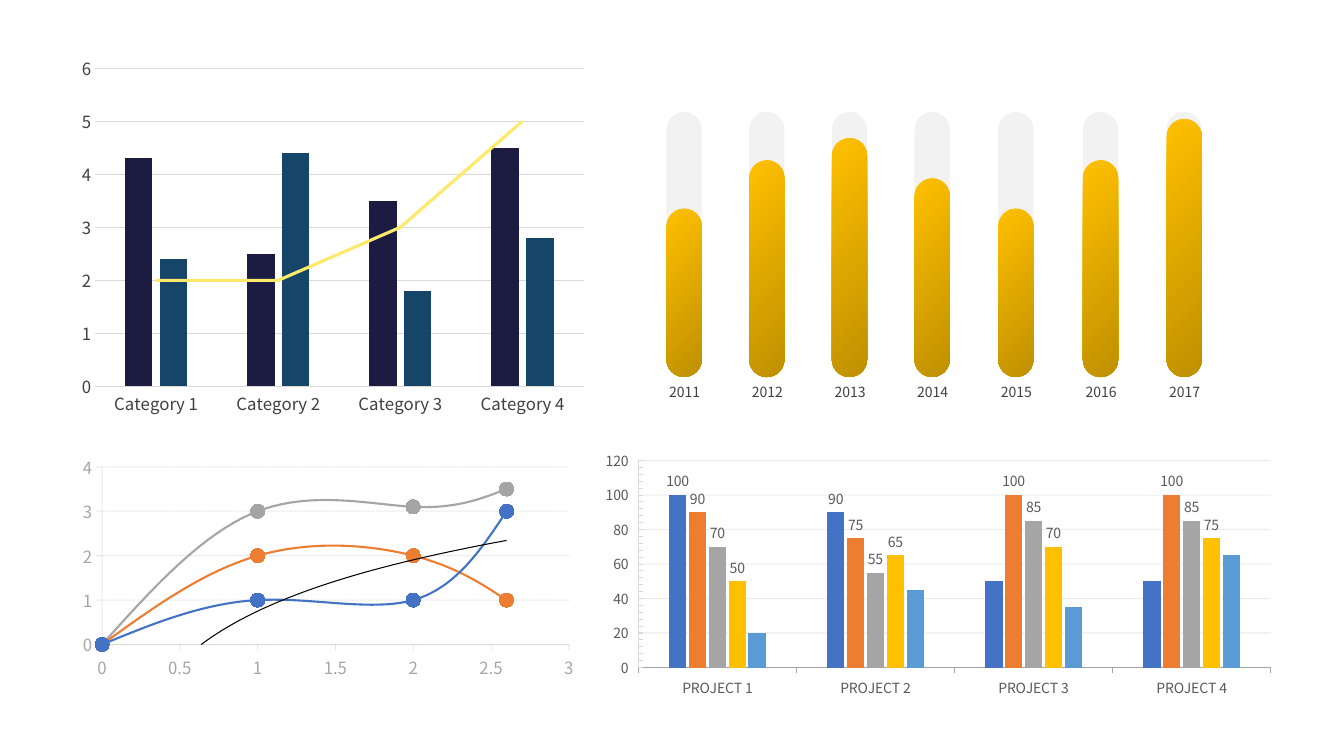
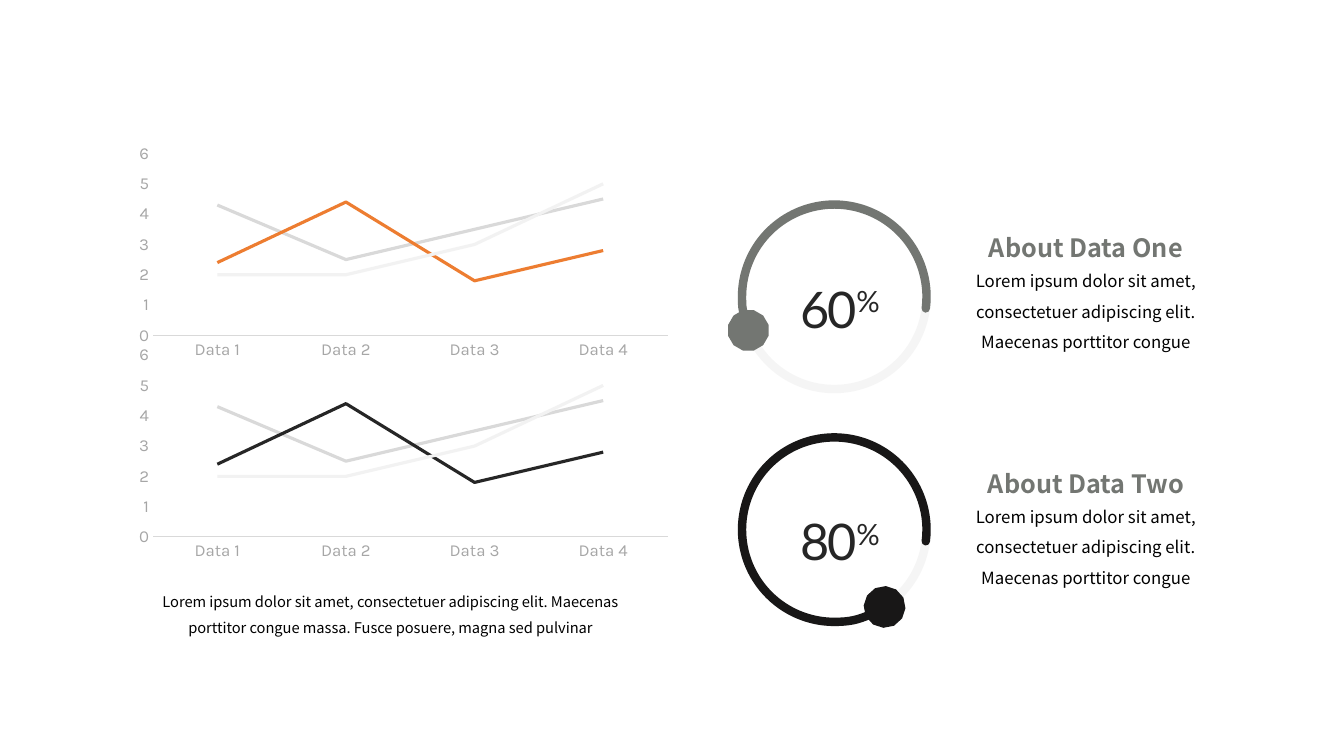
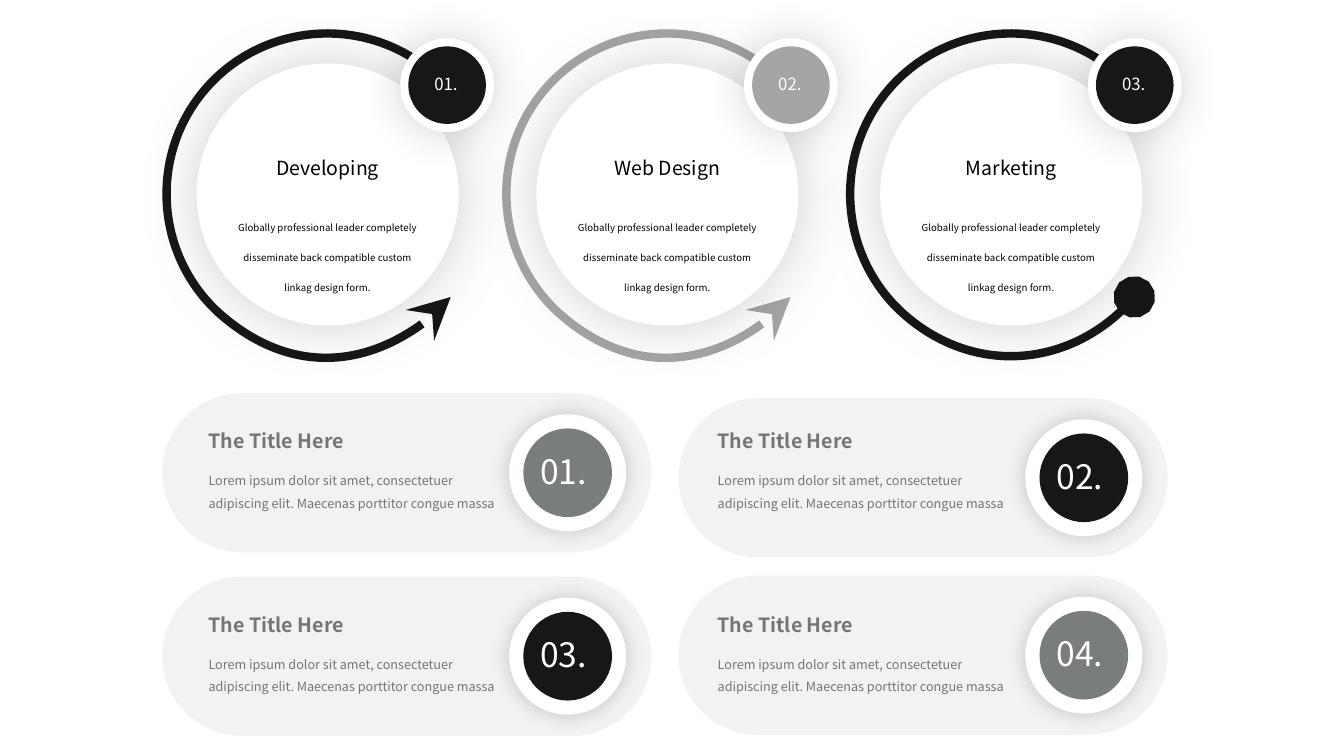
"""Build three infographic slides: charts, progress dials and numbered panels."""
from lxml import etree
from pptx import Presentation
from pptx import util as u
from pptx.chart import data
from pptx.dml import color as colors
from pptx.enum import chart as charts, dml, shapes, text
from pptx.oxml import parse_xml
from pptx.oxml.ns import nsdecls, qn

BODY = "Noto Sans CJK KR"
INK, GREY, SLATE, SILVER = "181717", "A5A5A5", "737672", "A6A6A6"
MIST, RULE, WHITE, BLACK = "F2F2F2", "D9D9D9", "FFFFFF", "000000"
CENTER = text.PP_ALIGN.CENTER
TICK = charts.XL_TICK_MARK
KIND = charts.XL_CHART_TYPE
SHAPE = shapes.MSO_SHAPE
LARGE = {"w": "lg", "len": "lg"}
LOREM = "Lorem ipsum dolor sit amet, consectetuer adipiscing elit. Maecenas porttitor congue"


def paint(fill, value, alpha=100):
    """Make a fill solid, with an opacity in percent."""
    fill.solid()
    fill.fore_color.rgb = colors.RGBColor.from_string(value)
    if alpha < 100:
        node = fill._xPr.find(qn("a:solidFill") + "/" + qn("a:srgbClr"))
        etree.SubElement(node, qn("a:alpha"), val=str(alpha * 1000))


def write(page, at, paras, size, value, font=BODY, frame_format=None, **para_format):
    """Add a text box; each paragraph is a list of (words, size, run marks)."""
    box = page.shapes.add_textbox(*map(u.Inches, at))
    frame = box.text_frame
    for key, setting in {"word_wrap": True, **(frame_format or {})}.items():
        setattr(frame, key, setting)
    for index, spans in enumerate(paras):
        para = frame.paragraphs[0] if index == 0 else frame.add_paragraph()
        for key, setting in para_format.items():
            setattr(para, key, setting)
        for words, span_size, marks in spans:
            span = para.add_run()
            span.text = words
            span.font.name = font
            span.font.size = u.Pt(span_size or size)
            paint(span.font.fill, value)
            for key, setting in marks.items():
                span._r.get_or_add_rPr().set(key, setting)


deck = Presentation()
deck.slide_width, deck.slide_height = u.Inches(13.33), u.Inches(7.5)
chart_page, dial_page, panel_page = [
    deck.slides.add_slide(deck.slide_layouts[6]) for _ in range(3)]

trend_values = [(4.3, 2.5, 3.5, 4.5), (2.4, 4.4, 1.8, 2.8), (2, 2, 3, 5)]
base = {"kind": KIND.LINE, "font": BODY, "size": 12, "text": SILVER, "values": trend_values,
        "top": 6, "unit": 1, "cat_tick": TICK.NONE, "val_tick": TICK.NONE,
        "cat_line": RULE, "val_line": None, "line_alpha": 100, "grid": None, "grid_alpha": 100}
specs = [
    {"page": chart_page, "at": (0.72, 4.46, 5.07, 2.33), "kind": KIND.XY_SCATTER_SMOOTH,
     "x": (0, 1, 2, 2.6),
     "values": [(0, 1, 1, 3), (0, 2, 2, 1), (0, 3, 3.1, 3.5), (None,) * 4],
     "colors": ("4472C4", "ED7D31", GREY, "FFC000"), "top": 4, "cat_tick": TICK.OUTSIDE,
     "val_tick": TICK.OUTSIDE, "cat_line": SILVER, "val_line": SILVER, "line_alpha": 25,
     "grid": SILVER, "grid_alpha": 25},
    {"page": chart_page, "at": (5.87, 4.42, 6.87, 2.55), "kind": KIND.COLUMN_CLUSTERED,
     "cats": [f"PROJECT {n}" for n in range(1, 5)],
     "values": [(100, 90, 50, 50), (90, 75, 100, 100), (70, 55, 85, 85),
                (50, 65, 70, 75), (20, 45, 35, 65)],
     "colors": ("4472C4", "ED7D31", GREY, "FFC000", "5B9BD5"), "size": 10, "text": "595959",
     "top": 120, "unit": 20, "minor": 4, "cat_tick": TICK.OUTSIDE, "cat_line": SILVER,
     "val_line": RULE, "grid": RULE, "grid_alpha": 48, "gap": 351, "overlap": -14,
     "labels": True},
    {"page": chart_page, "at": (0.48, 0.53, 5.39, 3.64), "kind": KIND.COLUMN_CLUSTERED,
     "cats": [f"Category {n}" for n in range(1, 5)], "colors": ("1C1C42", "154569", "FEE96A"),
     "text": "404040", "grid": RULE, "gap": 219, "overlap": -27, "line_series": True,
     "plot": (("x", 0.086), ("y", 0.04), ("w", 0.899), ("h", 0.868))},
]
for top, accent in ((1.38, "ED7D31"), (3.38, "262626")):
    specs.append({"page": dial_page, "at": (1.27, top, 5.46, 2.23), "font": "Karla",
                  "cats": [f"Data {n}" for n in range(1, 5)], "colors": (RULE, accent, MIST)})

for spec in ({**base, **spec} for spec in specs):
    scatter = spec["kind"] == KIND.XY_SCATTER_SMOOTH
    column = spec["kind"] == KIND.COLUMN_CLUSTERED
    table = data.XyChartData() if scatter else data.CategoryChartData()
    if not scatter:
        table.categories = spec["cats"]
    for number, values in enumerate(spec["values"], 1):
        if scatter:
            series = table.add_series(f"Series {number}")
            for x, y in zip(spec["x"], values):
                series.add_data_point(x, y)
        else:
            table.add_series(f"Series {number}", values)
    chart = spec["page"].shapes.add_chart(
        spec["kind"], *map(u.Inches, spec["at"]), table).chart
    chart.has_legend = chart.has_title = False
    chart.font.name, chart.font.size = spec["font"], u.Pt(spec["size"])
    paint(chart.font.fill, spec["text"])
    plot = chart.plots[0]
    plot.vary_by_categories = False

    across, up = chart.category_axis, chart.value_axis
    across.has_major_gridlines = False
    for axis, side in ((across, "cat"), (up, "val")):
        axis.major_tick_mark = spec[side + "_tick"]
        axis.minor_tick_mark = TICK.NONE
        line = axis.format.line
        if spec[side + "_line"]:
            paint(line.fill, spec[side + "_line"], spec["line_alpha"])
            line.width = u.Pt(0.75)
        else:
            line.fill.background()
    up.minimum_scale, up.maximum_scale, up.major_unit = 0, spec["top"], spec["unit"]
    up.has_major_gridlines = bool(spec["grid"])
    if spec["grid"]:
        grid = up.major_gridlines.format.line
        paint(grid.fill, spec["grid"], spec["grid_alpha"])
        grid.width = u.Pt(0.75)
        if scatter:
            grid.dash_style = dml.MSO_LINE.SQUARE_DOT
    if "minor" in spec:
        up.tick_label_position = charts.XL_TICK_LABEL_POSITION.LOW
        up.minor_tick_mark = TICK.INSIDE
        minor = etree.Element(qn("c:minorUnit"), val=str(spec["minor"]))
        up._element.find(qn("c:majorUnit")).addnext(minor)

    all_series = list(plot.series)
    for series, value in zip(all_series, spec["colors"]):
        if column and not (spec.get("line_series") and series is all_series[-1]):
            paint(series.format.fill, value)
            series.invert_if_negative = False
        else:
            paint(series.format.line.fill, value)
            series.format.line.width = u.Pt(1.5 if scatter else 2.25)
        if scatter:
            series.marker.style, series.marker.size = charts.XL_MARKER_STYLE.CIRCLE, 10
            paint(series.marker.format.fill, value)
            paint(series.marker.format.line.fill, value)
        elif not column:
            series.smooth = False
    if column:
        plot.gap_width, plot.overlap = spec["gap"], spec["overlap"]
    if "labels" in spec:
        for point in (0, 1):
            all_series[0].points[point].data_label.position = charts.XL_LABEL_POSITION.OUTSIDE_END
        for series in all_series[:4]:
            series.data_labels.show_value = series is not all_series[0]
    if scatter:
        across.minimum_scale, across.maximum_scale, across.major_unit = 0, 3, 0.5
        for node in chart.element.iter(qn("c:smooth")):
            node.set("val", "1")
        for node in list(chart.element.iter(qn("c:pt"))):
            if node.find(qn("c:v")).text in (None, "", "None"):
                node.getparent().remove(node)
        next(chart.element.iter(qn("c:xVal"))).addprevious(parse_xml(
            f'<c:trendline {nsdecls("c", "a")}><c:spPr><a:ln w="9525"><a:solidFill>'
            f'<a:srgbClr val="{BLACK}"/></a:solidFill></a:ln></c:spPr>'
            '<c:trendlineType val="log"/><c:dispRSqr val="0"/><c:dispEq val="0"/>'
            '</c:trendline>'))
    if "line_series" in spec:
        bars = next(chart.element.iter(qn("c:barChart")))
        moved = bars.findall(qn("c:ser"))[-1]
        for node in moved.findall(qn("c:invertIfNegative")):
            moved.remove(node)
        lines = parse_xml(f'<c:lineChart {nsdecls("c")}><c:grouping val="standard"/>'
                          '<c:varyColors val="0"/></c:lineChart>')
        lines.append(moved)
        etree.SubElement(lines, qn("c:marker"), val="1")
        for node in bars.findall(qn("c:axId")):
            etree.SubElement(lines, qn("c:axId"), val=node.get("val"))
        bars.addnext(lines)
        line_series = chart.plots[1].series[0]
        line_series.marker.style = charts.XL_MARKER_STYLE.NONE
        line_series.smooth = False
    if "plot" in spec:
        area = next(chart.element.iter(qn("c:plotArea")))
        for node in area.findall(qn("c:layout")):
            area.remove(node)
        layout = etree.Element(qn("c:layout"))
        manual = etree.SubElement(layout, qn("c:manualLayout"))
        settings = [("layoutTarget", "inner"), ("xMode", "edge"), ("yMode", "edge")]
        for key, setting in settings + list(spec["plot"]):
            etree.SubElement(manual, qn("c:" + key), val=str(setting))
        area.insert(0, layout)

pill_lefts = (6.61, 7.43, 8.25, 9.07, 9.9, 10.74, 11.57)
pill_heights = (1.67, 2.15, 2.37, 1.97, 1.67, 2.15, 2.56)
for year, (left, level) in enumerate(zip(pill_lefts, pill_heights), 2011):
    for height in (2.63, level):
        pill = chart_page.shapes.add_shape(
            SHAPE.ROUNDED_RECTANGLE, *map(u.Inches, (left, 3.74 - height, 0.35, height)))
        pill.shadow.inherit = False
        pill.adjustments[0] = 0.5
        pill.line.fill.background()
        paint(pill.fill, MIST)
    pill.fill.gradient()
    pill.fill.gradient_angle = 315
    for stop, value in zip(pill.fill.gradient_stops, ("FFC000", "BF9000")):
        stop.color.rgb = colors.RGBColor.from_string(value)
    write(chart_page, (left - 0.36, 3.76, 1.08, 0.27), [[(str(year), None, {})]],
          10, "404040", alignment=CENTER)

write(dial_page, (1.21, 5.74, 5.33, 0.63),
      [[(LOREM + " massa. Fusce posuere, magna sed pulvinar", None, {})]],
      10.5, BLACK, alignment=CENTER, line_spacing=1.5)
dials = [(2.03, 2.26, 158.66, SLATE, "60", "One"), (4.34, 4.6, 56.95, INK, "80", "Two")]
for top, title_top, start, value, percent, name in dials:
    for kind, stroke, alpha in ((SHAPE.OVAL, SILVER, 10), (SHAPE.ARC, value, 100)):
        dial = dial_page.shapes.add_shape(kind, *map(u.Inches, (7.36, top, 1.83, 1.83)))
        dial.shadow.inherit = False
        dial.fill.background()
        paint(dial.line.fill, stroke, alpha)
        dial.line.width = u.Pt(6)
    for index, degrees in enumerate((start, 7.27)):
        dial.adjustments[index] = degrees * 0.6
    stroke = dial.line._get_or_add_ln()
    stroke.set("cap", "rnd")
    etree.SubElement(stroke, qn("a:headEnd"), type="oval", **LARGE)
    write(dial_page, (7.54, top + 0.67, 1.58, 0.71),
          [[(percent, None, {"spc": "-150"}), ("%", None, {"spc": "-150", "baseline": "30000"})]],
          36, "262626", "Lato", {"vertical_anchor": text.MSO_ANCHOR.MIDDLE}, alignment=CENTER)
    write(dial_page, (9.53, title_top, 2.48, 0.4), [[("About Data " + name, None, {"b": "1"})]],
          18, SLATE, alignment=CENTER)
    write(dial_page, (9.53, title_top + 0.28, 2.48, 0.97), [[(LOREM, None, {})]],
          12, BLACK, alignment=CENTER, line_spacing=1.5)

services = [(1.65, "Developing", INK, "stealth"), (5.02, "Web Design", GREY, "stealth"),
            (8.43, "Marketing", INK, "oval")]
radius, pull = 1.595, 0.55
arc = [(1, 0), (1, pull), (pull, 1), (0, 1), (-pull, 1), (-1, pull), (-1, 0),
       (-1, -pull), (-pull, -1), (0, -1)]
discs, numbers = [], []
for index, (left, name, value, head) in enumerate(services):
    points = [(u.Inches(left + radius * (1 + x)), u.Inches(0.33 + radius * (1 + y)))
              for x, y in arc]
    builder = panel_page.shapes.build_freeform(*points[0])
    builder.add_line_segments(points[1:], close=False)
    ring = builder.convert_to_shape()
    segments = list(ring._element.iter(qn("a:lnTo")))
    for first in range(0, len(segments), 3):
        curve = etree.Element(qn("a:cubicBezTo"))
        segments[first].addprevious(curve)
        for segment in segments[first:first + 3]:
            curve.append(segment[0])
            segment.getparent().remove(segment)
    ring.rotation = 39.8
    ring.shadow.inherit = False
    ring.fill.background()
    paint(ring.line.fill, value)
    ring.line.width = u.Pt(6)
    etree.SubElement(ring.line._get_or_add_ln(), qn("a:headEnd"), type=head, **LARGE)
    badge = 3.97 + 3.41 * index
    discs += [(SHAPE.OVAL, (left + 0.3, 0.63, 2.6, 2.6), WHITE, (18, 44)),
              (SHAPE.OVAL, (badge, 0.38, 0.93, 0.93), WHITE, (19, 31)),
              (SHAPE.OVAL, (badge + 0.08, 0.46, 0.77, 0.77), value, None)]
    numbers.append(((badge + 0.24, 0.72, 0.55, 0.26), index + 1, 12))

panels = [(1.61, 3.9, "7A7E7A"), (6.73, 3.95, INK), (1.61, 5.72, INK), (6.73, 5.71, "7A7E7A")]
for number, (left, top, value) in enumerate(panels, 1):
    discs += [(SHAPE.ROUNDED_RECTANGLE, (left, top, 4.85, 1.58), MIST, None),
              (SHAPE.OVAL, (left + 3.44, top + 0.21, 1.16, 1.16), WHITE, (19, 14)),
              (SHAPE.OVAL, (left + 3.58, top + 0.35, 0.88, 0.88), value, None)]
    numbers.append(((left + 3.65, top + 0.6, 0.94, 0.43), number, 24))

for kind, at, value, shadow in discs:
    disc = panel_page.shapes.add_shape(kind, *map(u.Inches, at))
    disc.shadow.inherit = False
    paint(disc.fill, value)
    disc.line.fill.background()
    if kind == SHAPE.ROUNDED_RECTANGLE:
        disc.adjustments[0] = 0.5
    if shadow:
        alpha, blur = shadow
        disc._element.spPr.find(qn("a:effectLst")).append(parse_xml(
            f'<a:outerShdw {nsdecls("a")} blurRad="{u.Pt(blur)}" dist="0" dir="0" algn="ctr" '
            f'rotWithShape="0"><a:srgbClr val="{BLACK}"><a:alpha val="{alpha * 1000}"/>'
            '</a:srgbClr></a:outerShdw>'))

raised = {"baseline": "30000"}
for left, name, value, head in services:
    write(panel_page, (left + 0.6, 1.26, 2, 1.26),
          [[(name, 24, raised)],
           [("Globally professional leader completely disseminate back compatible custom "
             "linkag design form.", 12, raised)]],
          12, BLACK, alignment=CENTER, line_spacing=1.5, space_after=u.Pt(12))
for at, number, size in numbers:
    write(panel_page, at, [[(f"{number:02}.", None, {})]], size, WHITE, line_spacing=0.8)
for top in (4.21, 6.03):
    for left in (1.97, 7.02):
        write(panel_page, (left, top + 0.36, 3.1, 0.53), [[(LOREM + " massa", None, {})]],
              9, SLATE, line_spacing=1.5)
        write(panel_page, (left, top, 1.55, 0.34), [[("The Title Here", None, {"b": "1"})]],
              14, SLATE, frame_format={"word_wrap": False})

deck.save("out.pptx")
